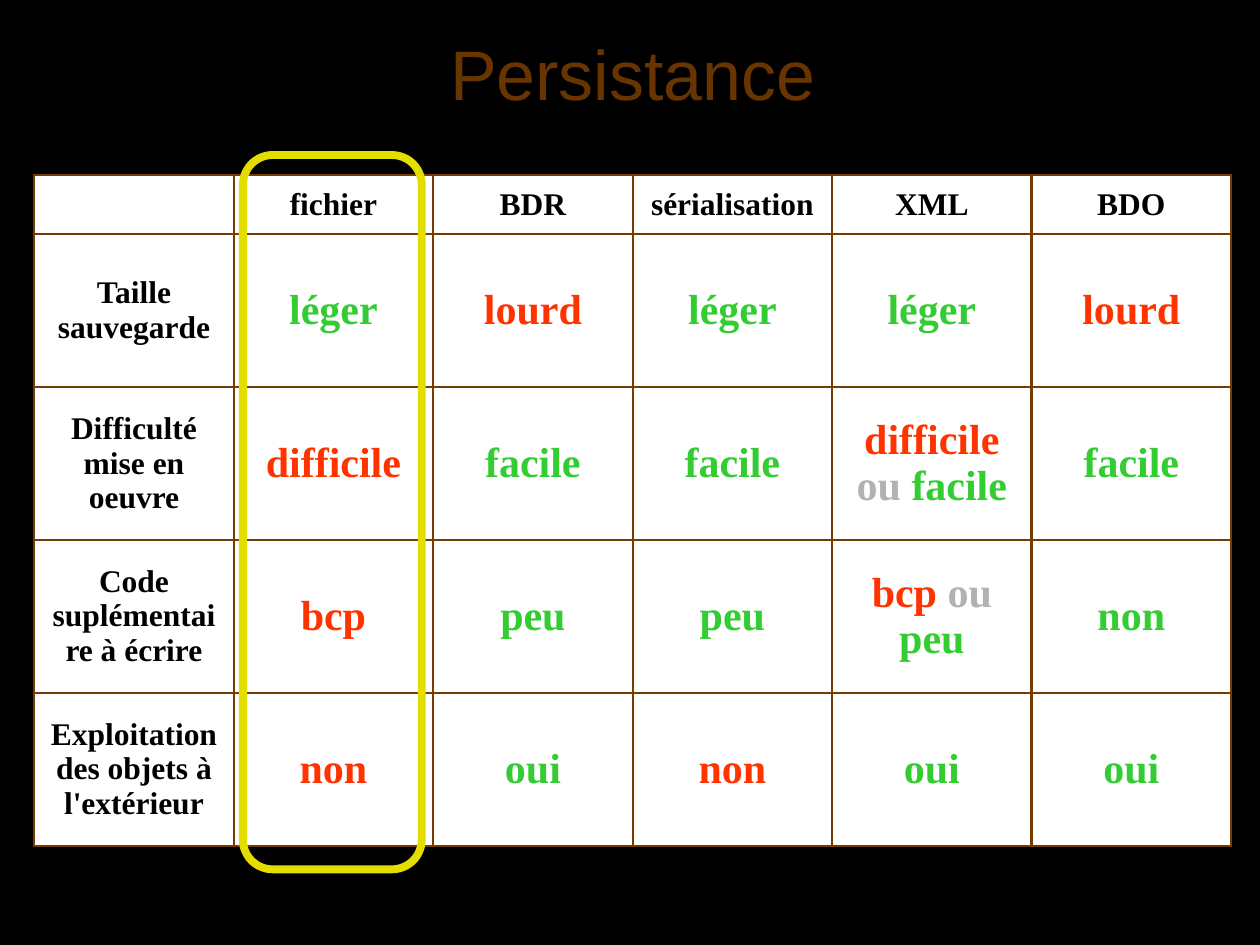
"""Build the slide comparing persistence techniques in a table."""
from lxml.etree import SubElement
from pptx import Presentation
from pptx.dml.color import RGBColor
from pptx.enum.shapes import MSO_SHAPE
from pptx.enum.text import MSO_ANCHOR, PP_ALIGN
from pptx.oxml import parse_xml
from pptx.oxml.ns import nsdecls, qn
from pptx.util import Pt

BLACK = RGBColor(0x00, 0x00, 0x00)
WHITE = RGBColor(0xFF, 0xFF, 0xFF)
BROWN = RGBColor(0x68, 0x34, 0x00)
BORDER = RGBColor(0x76, 0x3B, 0x00)
GREEN = RGBColor(0x33, 0xCC, 0x33)
RED = RGBColor(0xFF, 0x33, 0x00)
GREY = RGBColor(0xB2, 0xB2, 0xB2)
YELLOW = RGBColor(0xE3, 0xDE, 0x00)

TITLE = "Persistance"
HEADERS = ["", "fichier", "BDR", "sérialisation", "XML", "BDO"]
ROWS = [
    ("Taille sauvegarde",
     [[("léger", GREEN)], [("lourd", RED)], [("léger", GREEN)],
      [("léger", GREEN)], [("lourd", RED)]]),
    ("Difficulté mise en oeuvre",
     [[("difficile", RED)], [("facile", GREEN)], [("facile", GREEN)],
      [("difficile ", RED), ("ou ", GREY), ("facile", GREEN)], [("facile", GREEN)]]),
    ("Code suplémentaire à écrire",
     [[("bcp", RED)], [("peu", GREEN)], [("peu", GREEN)],
      [("bcp ", RED), ("ou ", GREY), ("peu", GREEN)], [("non", GREEN)]]),
    ("Exploitation des objets à l'extérieur",
     [[("non", RED)], [("oui", GREEN)], [("non", RED)],
      [("oui", GREEN)], [("oui", GREEN)]]),
]

TITLE_FONT = {"name": "Arial", "size": Pt(40), "bold": False}
LABEL_FONT = {"name": "Times New Roman", "size": Pt(18), "bold": True}
VALUE_FONT = {**LABEL_FONT, "size": Pt(24)}

LEFT, TOP, WIDTH = 19.6, 100, 684
HEADER_H, ROW_H = 33.7, 87.4
BORDER_W = Pt(1.47)
RING = (138.8, 88.6, 102.2, 408.2)


def write(tf, runs, fmt):
    p = tf.paragraphs[0]
    p.alignment = PP_ALIGN.CENTER
    for text, color in runs:
        r = p.add_run()
        r.text = text
        for name, value in fmt.items():
            setattr(r.font, name, value)
        r.font.color.rgb = color
    return p


def add_borders(cell):
    tc_pr = cell._tc.get_or_add_tcPr()
    for i, side in enumerate(("lnL", "lnR", "lnT", "lnB")):
        ln = parse_xml(
            f'<a:{side} {nsdecls("a")} w="{BORDER_W}"><a:solidFill>'
            f'<a:srgbClr val="{BORDER}"/></a:solidFill></a:{side}>')
        tc_pr.insert(i, ln)


def add_title(s):
    sp = s.shapes.add_textbox(Pt(LEFT), Pt(9.4), Pt(WIDTH), Pt(64))
    tf = sp.text_frame
    tf.word_wrap = True
    tf.vertical_anchor = MSO_ANCHOR.MIDDLE
    p = write(tf, [(TITLE, BROWN)], TITLE_FONT)
    fill = p.runs[0].font._element.find(qn("a:solidFill"))
    fill.addnext(parse_xml(
        f'<a:effectLst {nsdecls("a")}><a:outerShdw dist="25400" dir="2700000">'
        '<a:srgbClr val="000000"/></a:outerShdw></a:effectLst>'))


def add_comparison(s):
    grid = [[[(h, BLACK)] if h else [] for h in HEADERS]]
    grid += [[[(label, BLACK)], *values] for label, values in ROWS]
    heights = [HEADER_H] + [ROW_H] * len(ROWS)
    table = s.shapes.add_table(len(grid), len(HEADERS), Pt(LEFT), Pt(TOP),
                               Pt(WIDTH), Pt(sum(heights))).table
    for col in table.columns:
        col.width = Pt(WIDTH / len(HEADERS))
    for i, (cells, height) in enumerate(zip(grid, heights)):
        table.rows[i].height = Pt(height)
        for j, runs in enumerate(cells):
            cell = table.cell(i, j)
            cell.vertical_anchor = MSO_ANCHOR.MIDDLE
            cell.fill.solid()
            cell.fill.fore_color.rgb = WHITE
            add_borders(cell)
            write(cell.text_frame, runs, VALUE_FONT if i and j else LABEL_FONT)


def add_ring(s):
    sp = s.shapes.add_shape(MSO_SHAPE.ROUNDED_RECTANGLE, *map(Pt, RING))
    sp.shadow.inherit = False
    sp.fill.background()
    sp.line.color.rgb = YELLOW
    sp.line.width = Pt(4.5)


def main():
    prs = Presentation()
    prs.slide_width, prs.slide_height = Pt(720), Pt(540)
    s = prs.slides.add_slide(prs.slide_layouts[6])
    s.background.fill.solid()
    s.background.fill.fore_color.rgb = BLACK
    add_title(s)
    add_comparison(s)
    add_ring(s)
    prs.save("out.pptx")


if __name__ == "__main__":
    main()
